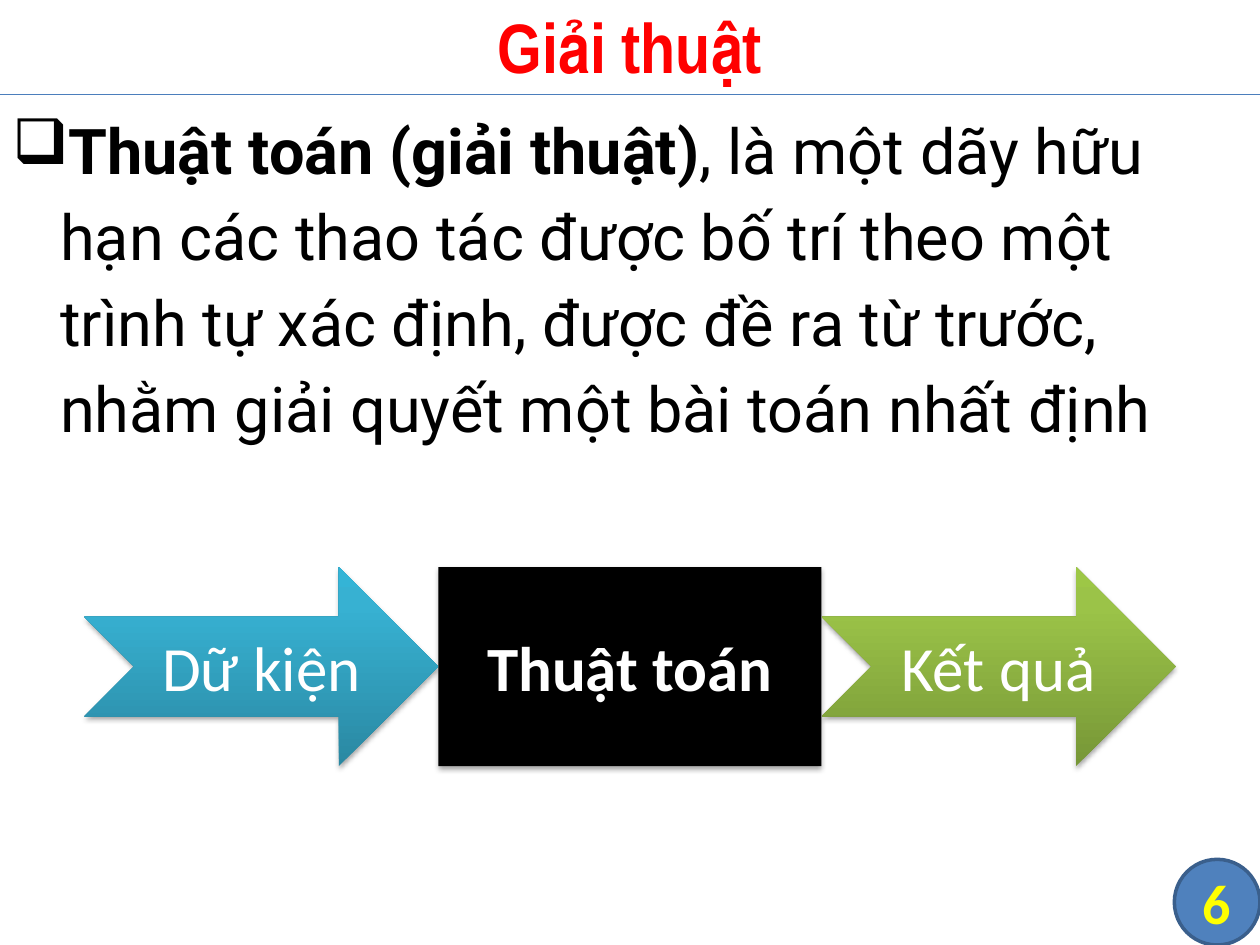
import copy
from dataclasses import dataclass
from typing import Any, Optional

import lxml.etree
import pptx
import pptx.dml.color
import pptx.enum.shapes
import pptx.enum.text
import pptx.oxml.ns
import pptx.util

Inches = pptx.util.Inches
Pt = pptx.util.Pt
qn = pptx.oxml.ns.qn
Shapes = pptx.enum.shapes.MSO_SHAPE
Align = pptx.enum.text.PP_ALIGN
Anchor = pptx.enum.text.MSO_ANCHOR


@dataclass
class Box:
    left: float
    top: float
    width: float
    height: float

    def lengths(self) -> list:
        return [Inches(value) for value in (self.left, self.top, self.width, self.height)]


@dataclass
class Style:
    size: int
    color: str
    font: str = "Calibri"
    bold: bool = False


@dataclass
class Step:
    text: str
    left: float
    width: float
    preset: Any
    colors: list
    bold: bool = False


STEP_TOP, STEP_HEIGHT = 4.5, 1.58
GRADIENT_POSITIONS = (0, 0.8, 1)
STEPS = [
    Step("Thuật toán", 3.48, 3.04, Shapes.RECTANGLE, ["000000"], True),
    Step("Dữ kiện", 0.67, 2.81, Shapes.NOTCHED_RIGHT_ARROW, ["2A88A2", "37B1D2", "34B4D6"]),
    Step("Kết quả", 6.52, 2.81, Shapes.NOTCHED_RIGHT_ARROW, ["779737", "9BC348", "9DC746"]),
]
DEFINITION = (
    "Thuật toán (giải thuật)",
    ", là một dãy hữu hạn các thao tác được bố trí theo một trình tự xác định, "
    "được đề ra từ trước, nhằm giải quyết một bài toán nhất định",
)


def rgb(color: str) -> Any:
    return pptx.dml.color.RGBColor.from_string(color)


def format_run(run: Any, style: Style) -> None:
    run.font.name = style.font
    run.font.size = Pt(style.size)
    run.font.bold = style.bold
    run.font.color.rgb = rgb(style.color)


def set_centered_text(shape: Any, text: str, style: Style, inset: Optional[float] = None) -> None:
    frame = shape.text_frame
    frame.word_wrap = True
    frame.vertical_anchor = Anchor.MIDDLE
    if inset is not None:
        frame.margin_left = frame.margin_right = Inches(inset)
        frame.margin_top = frame.margin_bottom = Inches(inset)
    frame.text = text
    paragraph = frame.paragraphs[0]
    paragraph.alignment = Align.CENTER
    format_run(paragraph.runs[0], style)


def add_label(slide: Any, box: Box, text: str, style: Style, inset: Optional[float] = None) -> None:
    set_centered_text(slide.shapes.add_textbox(*box.lengths()), text, style, inset)


def add_definition(slide: Any, box: Box) -> None:
    frame = slide.shapes.add_textbox(*box.lengths()).text_frame
    frame.word_wrap = True
    paragraph = frame.paragraphs[0]
    paragraph.line_spacing = 1.14
    paragraph.space_before = paragraph.space_after = Pt(6)
    for text, bold in zip(DEFINITION, (True, False)):
        run = paragraph.add_run()
        run.text = text
        format_run(run, Style(36, "000000", "Roboto", bold))
    properties = paragraph._p.get_or_add_pPr()
    properties.set("marL", str(Inches(0.38)))
    properties.set("indent", str(-Inches(0.38)))
    lxml.etree.SubElement(properties, qn("a:buChar")).set("char", "❑")


def fill_shape(shape: Any, colors: list) -> None:
    if len(colors) == 1:
        shape.fill.solid()
        shape.fill.fore_color.rgb = rgb(colors[0])
        return
    shape.fill.gradient()
    shape.fill.gradient_angle = 90
    stop_list = shape._element.spPr.find(".//" + qn("a:gsLst"))
    stop_list.append(copy.deepcopy(stop_list[0]))
    for stop, position, color in zip(shape.fill.gradient_stops, GRADIENT_POSITIONS, colors):
        stop.position = position
        stop.color.rgb = rgb(color)


def add_shadow(shape: Any) -> None:
    shape.shadow.inherit = False
    effects = shape._element.spPr.find(qn("a:effectLst"))
    shadow = lxml.etree.SubElement(effects, qn("a:outerShdw"))
    settings = {"blurRad": Pt(3.1), "dist": Pt(1.8), "dir": 90 * 60000, "rotWithShape": 0}
    for name, value in settings.items():
        shadow.set(name, str(value))
    color = lxml.etree.SubElement(shadow, qn("a:srgbClr"))
    color.set("val", "000000")
    lxml.etree.SubElement(color, qn("a:alpha")).set("val", "35000")


def add_step(slide: Any, step: Step) -> None:
    box = Box(step.left, STEP_TOP, step.width, STEP_HEIGHT)
    shape = slide.shapes.add_shape(step.preset, *box.lengths())
    fill_shape(shape, step.colors)
    shape.line.fill.background()
    add_shadow(shape)
    set_centered_text(shape, step.text, Style(36, "FFFFFF", bold=step.bold))


def add_rule(slide: Any, top: float, width: float) -> None:
    line = slide.shapes.add_connector(
        pptx.enum.shapes.MSO_CONNECTOR.STRAIGHT, 0, Inches(top), Inches(width), Inches(top)
    )
    line.line.color.rgb = rgb("4B7EBC")
    line.line.width = Pt(0.75)
    lxml.etree.SubElement(line._element.spPr, qn("a:effectLst"))


def add_page_badge(slide: Any, box: Box) -> None:
    badge = slide.shapes.add_shape(Shapes.FLOWCHART_CONNECTOR, *box.lengths())
    badge.shadow.inherit = False
    fill_shape(badge, ["4F81BD"])
    badge.line.color.rgb = rgb("3A5F8C")
    badge.line.width = Pt(2)
    set_centered_text(badge, "6", Style(32, "FFFF00", bold=True), 0)


def main() -> None:
    """Build the slide that defines an algorithm and shows its input and result."""
    presentation = pptx.Presentation()
    presentation.slide_width, presentation.slide_height = Inches(10), Inches(7.5)
    slide = presentation.slides.add_slide(presentation.slide_layouts[6])
    add_page_badge(slide, Box(9.32, 6.82, 0.68, 0.68))
    add_rule(slide, 0.75, 10)
    add_definition(slide, Box(0, 0.75, 10, 6.75))
    add_label(slide, Box(0, -0.03, 10, 0.78), "Giải thuật", Style(40, "FF0000", "Arial Narrow", True))
    for step in STEPS:
        add_step(slide, step)
    presentation.save("out.pptx")


if __name__ == "__main__":
    main()
